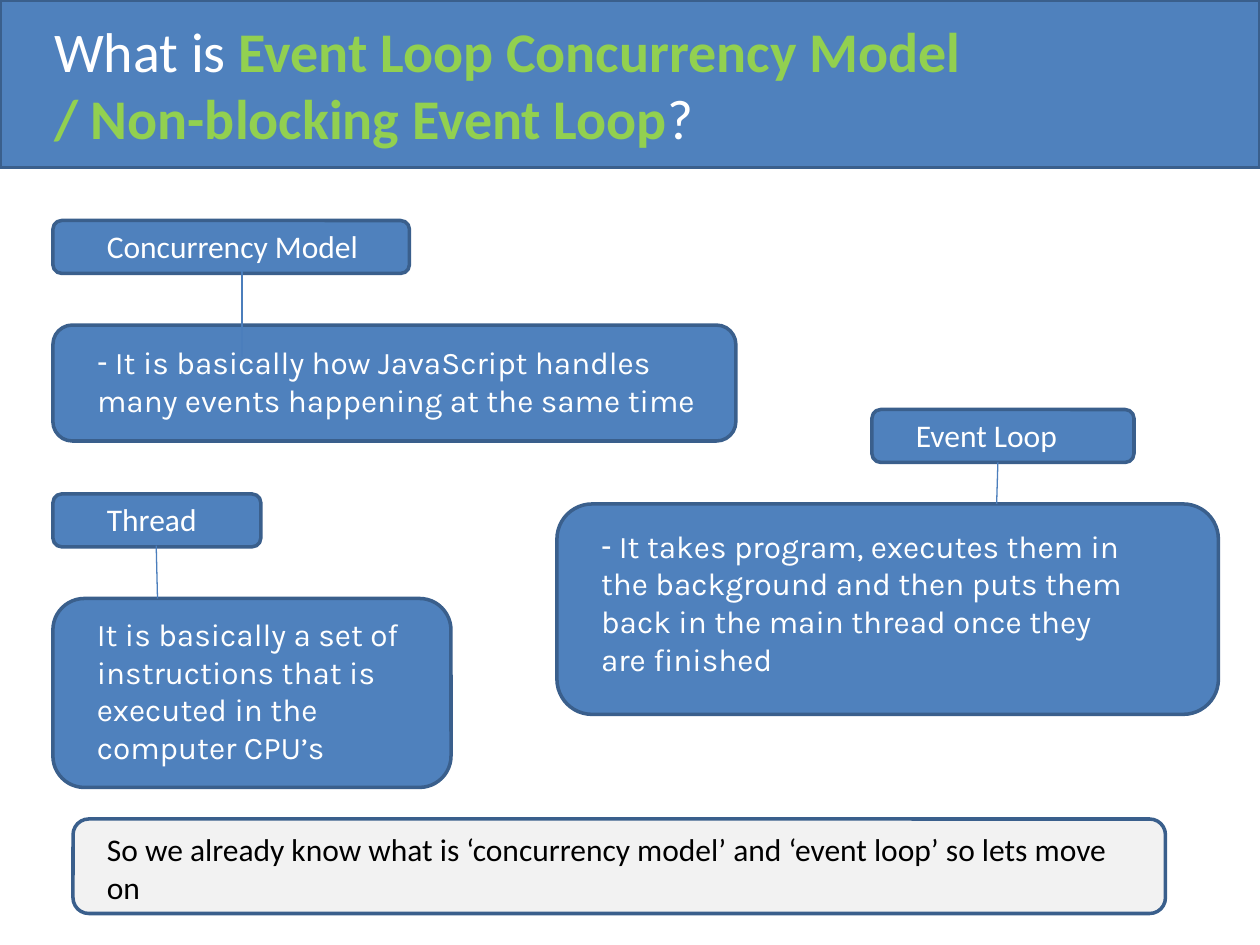
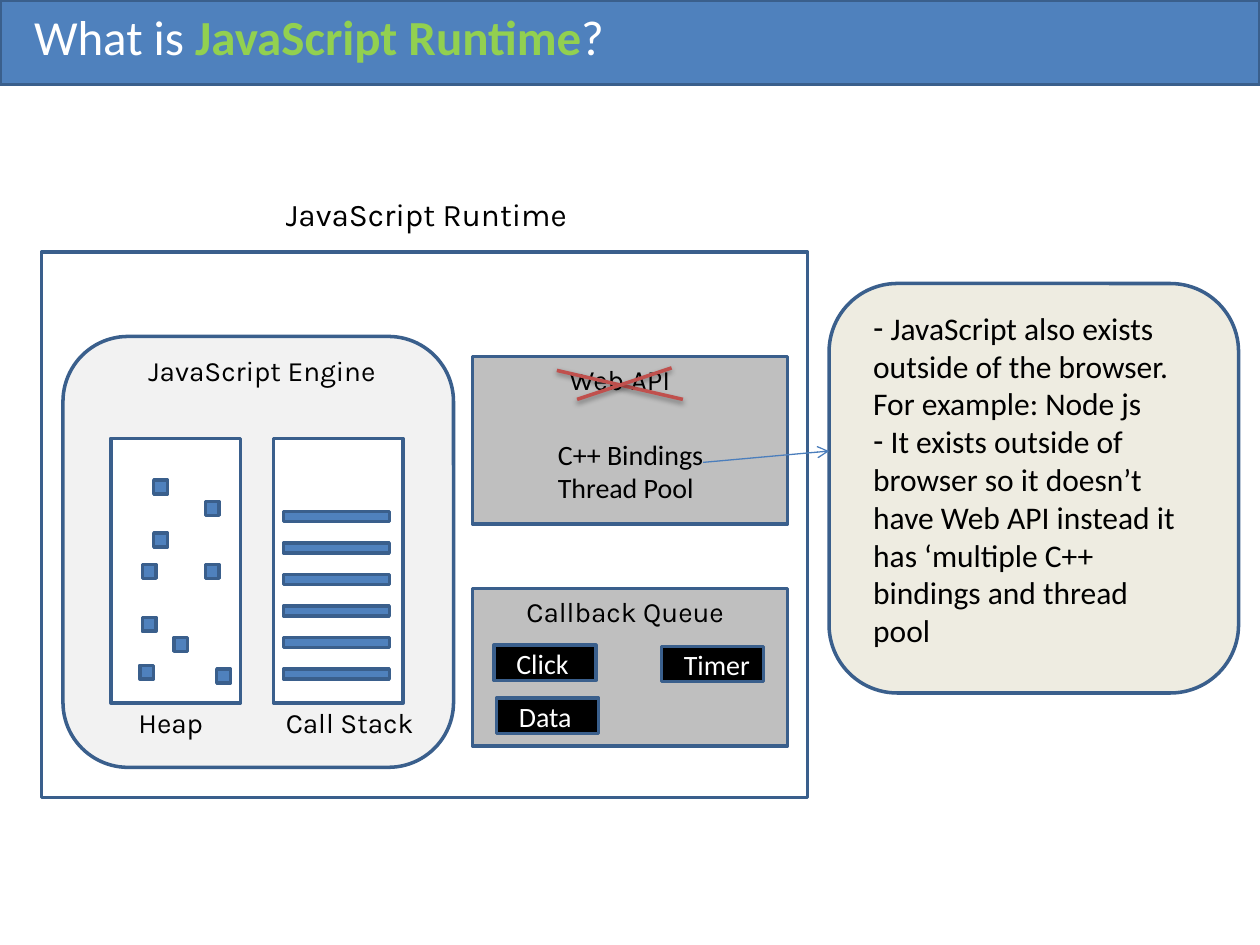
from dataclasses import dataclass
from pptx import Presentation
from pptx import util as u
from pptx.dml import color
from pptx.enum import shapes, text
from pptx.oxml import parse_xml
from pptx.oxml import ns


@dataclass(frozen=True)
class Theme:
    blue: str = "4F81BD"
    edge: str = "3A5F8C"
    wire: str = "4B7EBC"
    green: str = "92D050"
    red: str = "C0504D"
    white: str = "FFFFFF"
    black: str = "000000"
    pale: str = "F2F2F2"
    gray: str = "BFBFBF"
    cream: str = "EEECE1"
    sans: str = "Calibri"
    rounded: str = "Karla"
    body: int = 18
    label: int = 16
    border: float = 2
    thin: float = 0.75


THEME = Theme()
RECT = shapes.MSO_SHAPE.RECTANGLE
ROUND = shapes.MSO_SHAPE.ROUNDED_RECTANGLE

CONCEPT_TITLE = [
    [("What is ", False), ("Event Loop Concurrency Model", True)],
    [("/ Non-blocking Event Loop", True), ("?", False)],
]
CONCEPTS = [
    {"name": "Concurrency Model", "tag": (0.42, 1.75, 2.83, 0.42), "name_at": (0.75, 1.75, 2.33, 0.4),
     "card": (0.42, 2.58, 5.42, 0.92), "note_at": (0.67, 2.67, 5, 0.71),
     "wire": ((1.92, 2.15), (1.92, 2.83)), "listed": True,
     "note": " It is basically how JavaScript handles many events happening at the same time"},
    {"name": "Event Loop", "tag": (6.92, 3.25, 2.08, 0.42), "name_at": (7.17, 3.25, 2.92, 0.4),
     "card": (4.42, 4, 5.25, 1.67), "note_at": (4.67, 4.13, 4.42, 1.31),
     "wire": ((7.92, 3.67), (7.91, 4)), "listed": True,
     "note": " It takes program, executes them in the background and then puts them back "
             "in the main thread once they are finished"},
    {"name": "Thread", "tag": (0.42, 3.92, 1.65, 0.42), "name_at": (0.75, 3.92, 1.36, 0.4),
     "card": (0.42, 4.75, 3.16, 1.5), "note_at": (0.67, 4.83, 2.92, 1.31),
     "wire": ((1.24, 4.33), (1.25, 4.75)), "listed": False,
     "note": "It is basically a set of instructions that is executed in the computer CPU’s"},
]
SUMMARY = "So we already know what is ‘concurrency model’ and ‘event loop’ so lets move on"

RUNTIME_TITLE = [[("What is ", False), ("JavaScript Runtime", True), ("?", False)]]
PANELS = [
    (RECT, (0.33, 2, 6.08, 4.33), THEME.white),
    (ROUND, (0.5, 2.67, 3.1, 3.42), THEME.pale),
    (RECT, (0.88, 3.48, 1.03, 2.1), THEME.white),
    (RECT, (2.17, 3.48, 1.03, 2.1), THEME.white),
    (RECT, (3.75, 2.83, 2.5, 1.33), THEME.gray),
    (RECT, (3.75, 4.67, 2.5, 1.25), THEME.gray),
    (ROUND, (6.58, 2.25, 3.25, 3.25), THEME.cream),
]
HEAP_BLOCKS = [(1.22, 3.81), (1.38, 5.06), (1.11, 5.28), (1.72, 5.31), (1.63, 4.48),
               (1.63, 3.98), (1.22, 4.23), (1.13, 4.48), (1.13, 4.9)]
STACK_FRAMES = 6
PANEL_LABELS = [
    ("Heap", (1, 5.55, 0.75, 0.37)),
    ("Call Stack", (2.17, 5.55, 1.5, 0.37)),
    ("JavaScript Engine", (1.08, 2.76, 2.08, 0.37)),
    ("Web API", (4.42, 2.83, 1.25, 0.37)),
    ("Callback Queue", (4.08, 4.67, 1.92, 0.37)),
]
QUEUE = [("Click", 3.92, 5.12), ("Timer", 5.25, 5.13), ("Data", 3.94, 5.54)]
WEB_API_CROSS = [((4.42, 2.94), (5.42, 3.17)), ((5.33, 2.92), (4.58, 3.17))]
REPLACEMENTS = ["C++ Bindings", "Thread Pool"]
RUNTIME_NOTES = [
    " JavaScript also exists outside of the browser. For example: Node js",
    " It exists outside of browser so it doesn’t have Web API instead it has "
    "‘multiple C++ bindings and thread pool",
]


def rgb(value):
    return color.RGBColor.from_string(value)


def drawing(xml):
    head, rest = xml.split(" ", 1)
    return parse_xml(f"{head} {ns.nsdecls('a')} {rest}")


def add_box(page, preset, at, fill=THEME.blue):
    box = page.shapes.add_shape(preset, *map(u.Inches, at))
    box.shadow.inherit = False
    box.fill.solid()
    box.fill.fore_color.rgb = rgb(fill)
    box.line.color.rgb = rgb(THEME.edge)
    box.line.width = u.Pt(THEME.border)
    return box


def write(box, lines, size, font, ink, listed=False):
    frame = box.text_frame
    frame.word_wrap = True
    frame.auto_size = text.MSO_AUTO_SIZE.NONE
    frame.vertical_anchor = text.MSO_ANCHOR.TOP
    for index, line in enumerate(lines):
        para = frame.add_paragraph() if index else frame.paragraphs[0]
        para.alignment = text.PP_ALIGN.LEFT
        para.space_before = u.Pt(0)
        if listed:
            props = para._p.get_or_add_pPr()
            props.set("marL", "0")
            props.set("indent", "0")
            props.append(drawing('<a:buChar char="-"/>'))
        for words, accented in [(line, False)] if isinstance(line, str) else line:
            span = para.add_run()
            span.text = words
            span.font.size = u.Pt(size)
            span.font.name = font
            span.font.bold = accented
            span.font.color.rgb = rgb(THEME.green if accented else ink)


def add_text(page, lines, at, size=THEME.body, font=THEME.sans, ink=THEME.black):
    box = page.shapes.add_textbox(*map(u.Inches, at))
    write(box, lines, size, font, ink)


def fill_placeholder(holder, at, lines, size, font, ink, listed=False):
    holder.left, holder.top, holder.width, holder.height = map(u.Inches, at)
    holder.element.getparent().append(holder.element)
    write(holder, lines, size, font, ink, listed)


def add_line(page, start, end, ink=THEME.wire, width=THEME.thin, arrow=False, shadow=False):
    line = page.shapes.add_connector(shapes.MSO_CONNECTOR.STRAIGHT,
                                     *map(u.Inches, (*start, *end)))
    line.line.color.rgb = rgb(ink)
    line.line.width = u.Pt(width)
    if arrow:
        line.line._get_or_add_ln().append(drawing('<a:tailEnd type="arrow"/>'))
    cast = (f'<a:outerShdw blurRad="{u.Pt(3.1)}" dist="{u.Pt(1.6)}" dir="5400000" rotWithShape="0">'
            f'<a:srgbClr val="{THEME.black}"><a:alpha val="38000"/></a:srgbClr></a:outerShdw>')
    line.element.spPr.append(drawing(f'<a:effectLst >{cast if shadow else ""}</a:effectLst>'))


def start_page(deck, layout, title, band_height, title_at, size):
    page = deck.slides.add_slide(deck.slide_layouts.get_by_name(layout))
    add_box(page, RECT, (0, 0, 10, band_height))
    fill_placeholder(page.shapes.title, title_at, title, size, THEME.sans, THEME.white)
    bodies = [holder for holder in page.placeholders if holder.placeholder_format.idx in (1, 2)]
    return page, bodies


def build_concepts(deck):
    page, bodies = start_page(deck, "Two Content", CONCEPT_TITLE, 1.33, (0.33, 0.08, 9.5, 1.18), 32)
    for concept in CONCEPTS:
        add_box(page, ROUND, concept["card"])
        add_box(page, ROUND, concept["tag"])
        add_text(page, [concept["name"]], concept["name_at"], ink=THEME.white)
        add_line(page, *concept["wire"])
        style = (THEME.body, THEME.rounded, THEME.white)
        if concept["listed"]:
            fill_placeholder(bodies.pop(0), concept["note_at"], [concept["note"]], *style, listed=True)
        else:
            add_text(page, [concept["note"]], concept["note_at"], *style)
    add_box(page, ROUND, (0.58, 6.5, 8.67, 0.75), THEME.pale)
    add_text(page, [SUMMARY], (0.75, 6.54, 8.25, 0.71))


def build_runtime(deck):
    page, bodies = start_page(deck, "Title and Content", RUNTIME_TITLE, 0.67, (0.17, 0, 6.58, 0.57), 28)
    for preset, at, fill in PANELS:
        add_box(page, preset, at, fill)
    for left, top in HEAP_BLOCKS:
        add_box(page, RECT, (left, top, 0.11, 0.11))
    for level in range(STACK_FRAMES):
        add_box(page, RECT, (2.25, 4.06 + 0.25 * level, 0.84, 0.08))
    add_text(page, ["JavaScript Runtime"], (2.17, 1.5, 2.5, 0.4), font=THEME.rounded)
    for name, at in PANEL_LABELS:
        add_text(page, [name], at, THEME.label, THEME.rounded)
    for name, left, top in QUEUE:
        add_box(page, RECT, (left, top, 0.81, 0.28), THEME.black)
        add_text(page, [name], (left + 0.08, top - 0.04, 0.83, 0.37), THEME.label, ink=THEME.white)
    fill_placeholder(bodies[0], (6.83, 2.4, 2.67, 2.83), RUNTIME_NOTES,
                     THEME.body, THEME.sans, THEME.black, listed=True)
    for start, end in WEB_API_CROSS:
        add_line(page, start, end, THEME.red, THEME.border, shadow=True)
    add_text(page, REPLACEMENTS, (4.33, 3.42, 1.5, 0.64), THEME.label)
    add_line(page, (5.58, 3.67), (6.58, 3.58), arrow=True)


def main():
    deck = Presentation()
    deck.slide_width, deck.slide_height = u.Inches(10), u.Inches(7.5)
    build_concepts(deck)
    build_runtime(deck)
    deck.save("out.pptx")


if __name__ == "__main__":
    main()
